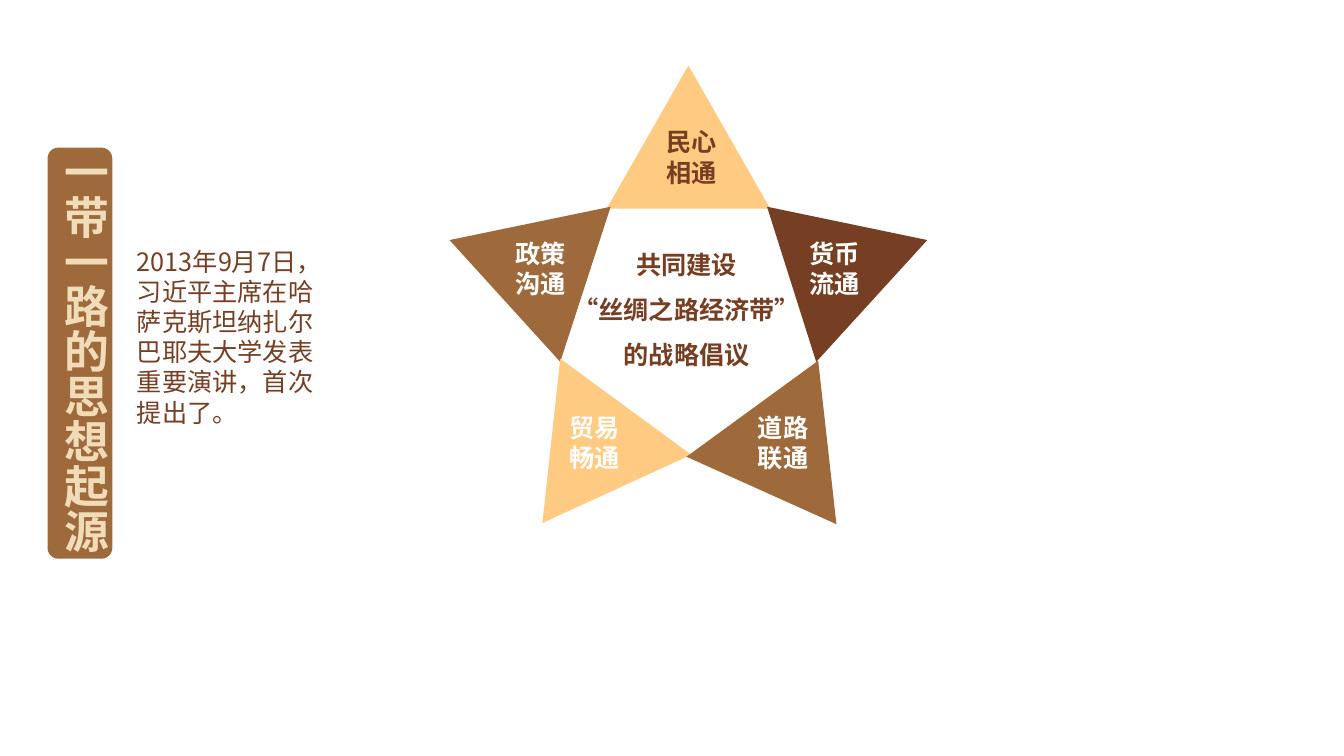
from dataclasses import dataclass

from lxml import etree
from pptx import Presentation
from pptx.dml.color import RGBColor
from pptx.enum.shapes import MSO_SHAPE
from pptx.enum.text import MSO_AUTO_SIZE, PP_ALIGN
from pptx.oxml.ns import qn
from pptx.util import Cm, Pt

ROUND = MSO_SHAPE.ROUNDED_RECTANGLE
GROW = MSO_AUTO_SIZE.SHAPE_TO_FIT_TEXT
LEFT, CENTER = PP_ALIGN.LEFT, PP_ALIGN.CENTER


@dataclass(frozen=True)
class Theme:
    font: str = "Noto Sans CJK SC"
    gold: str = "FFCA82"
    brown: str = "9F6A3B"
    dark: str = "763E23"
    cream: str = "F1DCB9"
    white: str = "FFFFFF"
    title: int = 32
    body: int = 18


THEME = Theme()

# Star points: corners (cm), fill, label, label colour, label box (cm)
POINTS = [
    ([(19.41, 5.26), (17.35, 1.65), (15.29, 5.26)], THEME.gold,
     "民心相通", THEME.dark, (16.54, 3.07, 2.34, 1.8)),
    ([(15.39, 5.21), (11.33, 6.05), (14.12, 9.12)], THEME.brown,
     "政策沟通", THEME.white, (12.73, 5.87, 1.98, 1.8)),
    ([(14.12, 9.04), (13.67, 13.18), (17.42, 11.46)], THEME.gold,
     "贸易畅通", THEME.white, (14.1, 10.26, 2.03, 1.8)),
    ([(17.3, 11.51), (21.08, 13.21), (20.62, 9.09)], THEME.brown,
     "道路联通", THEME.white, (18.85, 10.26, 2.34, 1.8)),
    ([(20.57, 9.12), (23.37, 6.05), (19.33, 5.21)], THEME.dark,
     "货币流通", THEME.white, (20.14, 5.87, 1.9, 1.8)),
]
CORE = ["共同建设", "“丝绸之路经济带”", "的战略倡议"]
STORY = ("2013年9月7日，习近平主席在哈萨克斯坦纳扎尔"
         "巴耶夫大学发表重要演讲，首次提出了。")


def paint(shape, color):
    shape.shadow.inherit = False
    shape.fill.solid()
    shape.fill.fore_color.rgb = RGBColor.from_string(color)
    shape.line.fill.background()


def add_run(para, text, color, size, bold):
    run = para.add_run()
    run.text = text
    font = run.font
    font.size, font.bold, font.name = Pt(size), bold, THEME.font
    font.color.rgb = RGBColor.from_string(color)
    east = etree.SubElement(run._r.get_or_add_rPr(), qn("a:ea"))
    east.set("typeface", THEME.font)


def add_text(shapes, box, lines, color, size=THEME.body, bold=True,
             wrap=True, align=LEFT, space=1.0):
    label = shapes.add_textbox(*map(Cm, box))
    frame = label.text_frame
    frame.word_wrap = wrap
    frame.auto_size = GROW
    for i, line in enumerate(lines):
        para = frame.add_paragraph() if i else frame.paragraphs[0]
        para.alignment, para.line_spacing = align, space
        add_run(para, line, color, size, bold)
    return frame


def add_point(shapes, corners, color):
    first, *rest = [(Cm(x), Cm(y)) for x, y in corners]
    pen = shapes.build_freeform(*first)
    pen.add_line_segments(rest, close=True)
    paint(pen.convert_to_shape(), color)


def add_banner(shapes):
    group = shapes.add_group_shape().shapes
    bar = group.add_shape(ROUND, *map(Cm, (1.2, 3.72, 1.63, 10.36)))
    paint(bar, THEME.brown)
    frame = add_text(group, (1.07, 3.53, 1.88, 10.52), ["一带一路的思想起源"],
                     THEME.cream, THEME.title, wrap=False)
    frame._txBody.bodyPr.set("vert", "eaVert")


def main():
    deck = Presentation()
    deck.slide_width, deck.slide_height = Cm(33.87), Cm(19.05)
    shapes = deck.slides.add_slide(deck.slide_layouts[6]).shapes

    # Vertical title
    add_banner(shapes)

    # Star
    for corners, fill, *_ in POINTS:
        add_point(shapes, corners, fill)

    # Centre and story
    add_text(shapes, (14.17, 5.77, 6.27, 3.58), CORE, THEME.dark,
             wrap=False, align=CENTER, space=1.5)
    add_text(shapes, (3.2, 6.07, 5.51, 5.64), [STORY], THEME.dark, bold=False)

    # Point labels
    for _, _, text, color, box in POINTS:
        add_text(shapes, box, [text], color)

    deck.save("out.pptx")


if __name__ == "__main__":
    main()
